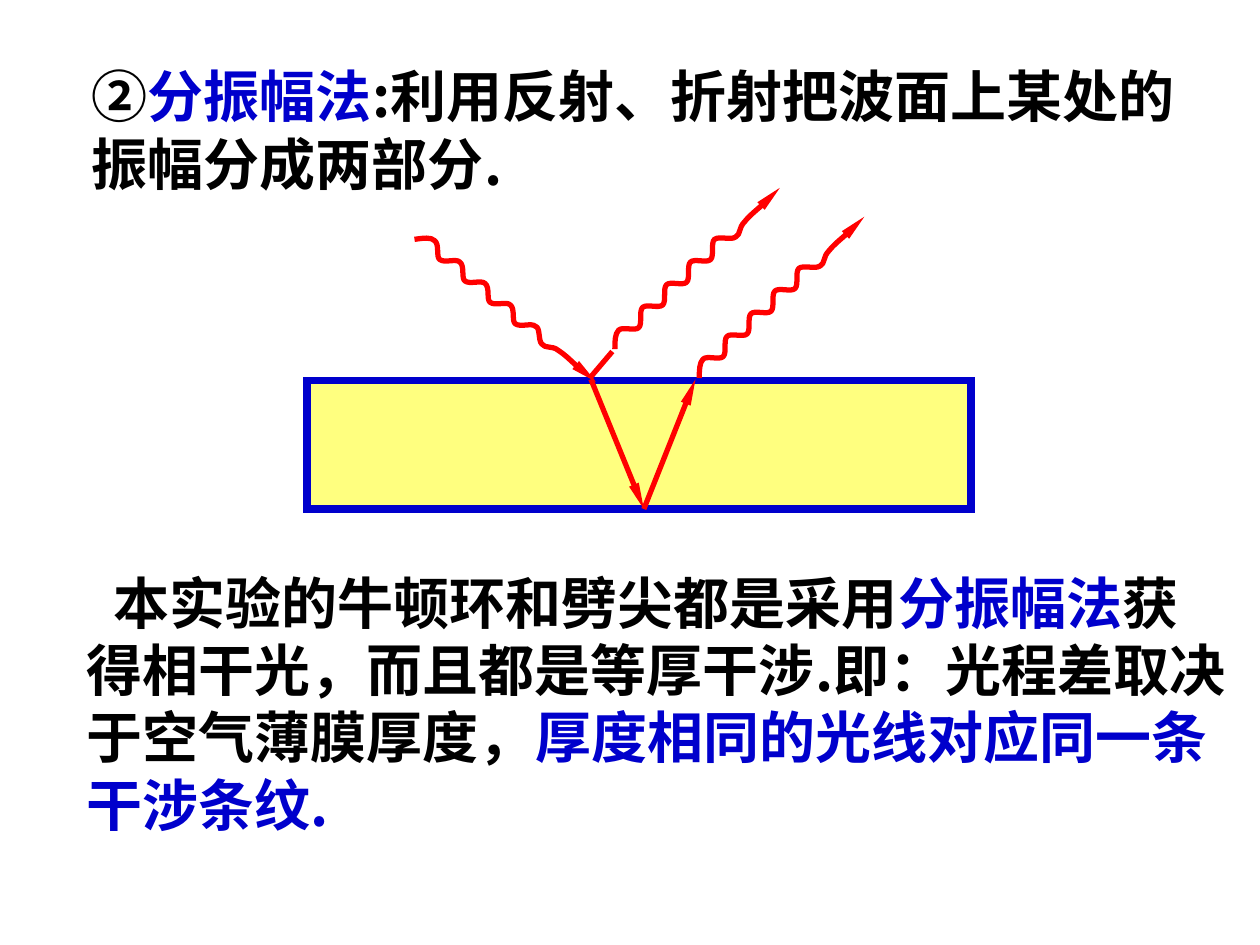
"""Build the slide on splitting a wave by amplitude."""
from dataclasses import dataclass

from lxml import etree
from pptx import Presentation
from pptx import util as u
from pptx.dml.color import RGBColor
from pptx.enum import shapes, text
from pptx.oxml.ns import qn


@dataclass(frozen=True)
class Theme:
    """Colours, fonts and sizes used on the slide."""

    ink: str = "000000"
    accent: str = "0000CC"
    ray: str = "FF0000"
    film: str = "FFFF00"
    latin: str = "Arial"
    asian: str = "Noto Sans CJK SC"
    size: float = 32
    leading: float = 38.5
    ray_width: float = 3
    film_width: float = 4.5


def write_run(paragraph, words, *, color, font, asian, size, bold=True):
    """Add one formatted run to a paragraph."""
    run = paragraph.add_run()
    run.text = words
    run.font.name, run.font.size, run.font.bold = font, u.Pt(size), bold
    run.font.color.rgb = RGBColor.from_string(color)
    latin = run.font._element.find(qn("a:latin"))
    east = etree.Element(qn("a:ea"), typeface=asian)
    latin.addnext(east)


def wave(lead, period, step, count, tail):
    """Return the Bezier points of a ray that repeats one period."""
    start_x, start_y = lead[-1]
    crests = [
        (start_x + i * step[0] + dx, start_y + i * step[1] + dy)
        for i in range(count)
        for dx, dy in period
    ]
    return lead + crests + tail


class Board:
    """Hold the theme and the current slide, and draw its elements."""

    def __init__(self, slide, theme):
        """Keep the slide and the theme."""
        self.slide = slide
        self.theme = theme
        self.rays = None

    def film(self, left, top, width, height):
        """Draw the half transparent film and open a group for the rays."""
        film = self.slide.shapes.add_shape(
            shapes.MSO_SHAPE.RECTANGLE, *map(u.Inches, (left, top, width, height))
        )
        film.shadow.inherit = False
        film.fill.solid()
        film.fill.fore_color.rgb = RGBColor.from_string(self.theme.film)
        tint = film._element.spPr.find(qn("a:solidFill")).find(qn("a:srgbClr"))
        etree.SubElement(tint, qn("a:alpha"), val="50000")
        film.line.color.rgb = RGBColor.from_string(self.theme.accent)
        film.line.width = u.Pt(self.theme.film_width)
        border = film._element.spPr.find(qn("a:ln"))
        etree.SubElement(border, qn("a:miter"), lim="800000")
        self.rays = self.slide.shapes.add_group_shape().shapes

    def stroke(self, ray, arrow=True):
        """Give a ray its colour, width and arrowhead, and no shadow."""
        ray.line.color.rgb = RGBColor.from_string(self.theme.ray)
        ray.line.width = u.Pt(self.theme.ray_width)
        properties = ray._element.spPr
        if arrow:
            etree.SubElement(properties.find(qn("a:ln")), qn("a:tailEnd"),
                             type="triangle", w="sm", len="lg")
        etree.SubElement(properties, qn("a:effectLst"))

    def straight_ray(self, start, end, arrow=True):
        """Draw a straight ray."""
        ray = self.rays.add_connector(
            shapes.MSO_CONNECTOR.STRAIGHT, *map(u.Inches, start + end)
        )
        self.stroke(ray, arrow)

    def wavy_ray(self, points):
        """Draw a ray through cubic Bezier points."""
        places = [(u.Inches(x), u.Inches(y)) for x, y in points]
        builder = self.rays.build_freeform(*places[0], scale=1.0)
        builder.add_line_segments(places[1:], close=False)
        ray = builder.convert_to_shape()
        ray.fill.background()
        outline = next(ray._element.iter(qn("a:path")))
        segments = outline.findall(qn("a:lnTo"))
        for i in range(0, len(segments), 3):
            curve = etree.SubElement(outline, qn("a:cubicBezTo"))
            for segment in segments[i:i + 3]:
                curve.append(segment[0])
                outline.remove(segment)
        self.stroke(ray)

    def passage(self, left, top, width, height, runs, indent=0):
        """Write a paragraph from (words, colour, font) runs."""
        box = self.slide.shapes.add_textbox(*map(u.Inches, (left, top, width, height)))
        frame = box.text_frame
        frame.word_wrap = True
        frame.auto_size = text.MSO_AUTO_SIZE.SHAPE_TO_FIT_TEXT
        frame.margin_right = u.Inches(0.13)
        paragraph = frame.paragraphs[0]
        paragraph.line_spacing = u.Pt(self.theme.leading)
        if indent:
            paragraph._p.get_or_add_pPr().set("indent", str(u.Inches(indent)))
        for words, color, font in runs:
            write_run(paragraph, words, color=color, font=font,
                      asian=self.theme.asian, size=self.theme.size)


def main():
    """Build and save the slide."""
    deck = Presentation()
    deck.slide_width, deck.slide_height = u.Inches(10), u.Inches(7.5)
    theme = Theme()
    board = Board(deck.slides.add_slide(deck.slide_layouts[6]), theme)

    board.film(2.44, 3.02, 5.27, 1.02)

    fall = [(0.04, 0.03), (0.01, 0.13), (0.04, 0.15),
            (0.08, 0.18), (0.17, 0.14), (0.2, 0.17)]
    board.wavy_ray(wave(
        [(3.29, 1.9), (3.36, 1.89), (3.42, 1.88), (3.45, 1.91)],
        fall, (0.2, 0.17), 4,
        [(4.29, 2.6), (4.27, 2.7), (4.3, 2.73), (4.33, 2.77), (4.38, 2.74), (4.43, 2.78),
         (4.49, 2.82), (4.58, 2.91), (4.63, 2.95), (4.68, 2.99), (4.71, 3.01), (4.73, 3.03)],
    ))

    rise = [(0.03, -0.03), (0.13, 0.01), (0.16, -0.02),
            (0.19, -0.05), (0.16, -0.15), (0.19, -0.18)]
    reflected = wave(
        [(4.88, 2.77), (4.88, 2.71), (4.88, 2.65), (4.91, 2.62)],
        rise, (0.19, -0.18), 4,
        [(5.71, 1.87), (5.8, 1.91), (5.84, 1.88), (5.88, 1.86), (5.86, 1.81), (5.91, 1.76),
         (5.95, 1.71), (6.05, 1.63), (6.1, 1.58), (6.14, 1.54), (6.17, 1.52), (6.19, 1.49)],
    )
    board.wavy_ray(reflected)

    entry, bottom, leaving = (4.69, 3.01), (5.11, 4.04), (5.52, 3.01)
    board.straight_ray((4.69, 2.99), (4.86, 2.79), arrow=False)
    board.straight_ray(entry, bottom)
    board.straight_ray(bottom, leaving)
    board.wavy_ray([(x + 0.67, y + 0.23) for x, y in reflected])

    board.passage(0.63, 0.44, 9.25, 1.17, [
        ("②", theme.ink, theme.latin),
        ("分振幅法", theme.accent, theme.asian),
        (":利用反射、折射把波面上某处的振幅分成两部分.", theme.ink, theme.asian),
    ])
    board.passage(0.59, 4.46, 9.3, 2.24, [
        ("本实验的牛顿环和劈尖都是采用", theme.ink, theme.asian),
        ("分振幅法", theme.accent, theme.asian),
        ("获得相干光，而且都是等厚干涉.即：光程差取决于空气薄膜厚度，", theme.ink, theme.asian),
        ("厚度相同的光线对应同一条干涉条纹.", theme.accent, theme.asian),
    ], indent=0.21)

    deck.save("out.pptx")


if __name__ == "__main__":
    main()
